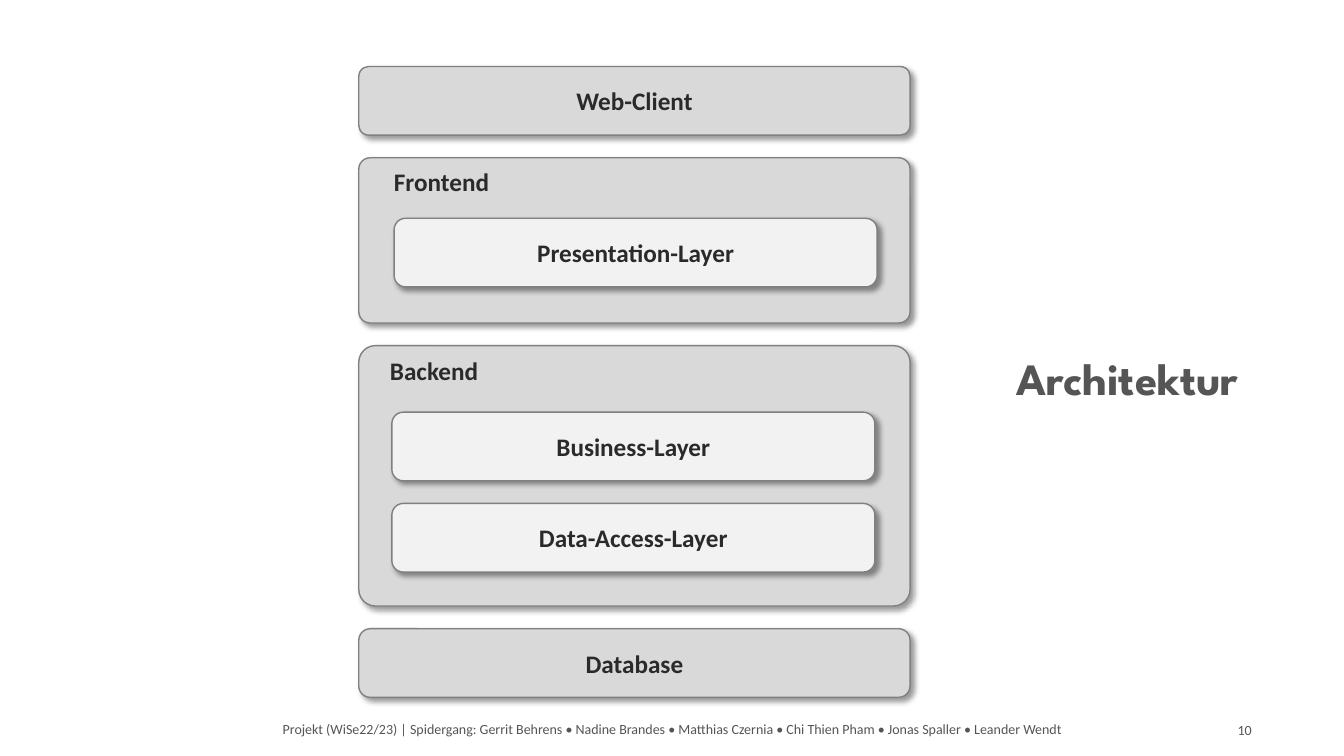
"""Build the slide that shows the software architecture as stacked layers."""
from lxml.etree import SubElement
from pptx import Presentation
from pptx.dml.color import RGBColor as Rgb
from pptx.enum.shapes import MSO_SHAPE as Shape
from pptx.enum.text import MSO_ANCHOR as Anchor, MSO_AUTO_SIZE as Fit, PP_ALIGN as Align
from pptx.oxml.ns import qn
from pptx.util import Pt

TITLE = "Architektur"
TEAM = ("Gerrit Behrens", "Nadine Brandes", "Matthias Czernia",
        "Chi Thien Pham", "Jonas Spaller", "Leander Wendt")
FOOTER = "Projekt (WiSe22/23) | Spidergang: " + " • ".join(TEAM)
PAGE = "10"
STACK = [
    {"name": "Web-Client", "round": 0.144},
    {"name": "Frontend", "round": 0.068, "inset": 25.2, "head": 43.2,
     "foot": 25.8, "indent": 22.8, "parts": ["Presentation-Layer"]},
    {"name": "Backend", "round": 0.064, "inset": 23.6, "head": 47.5,
     "foot": 24.3, "indent": 18.8, "parts": ["Business-Layer", "Data-Access-Layer"]},
    {"name": "Database", "round": 0.167},
]
THEME = {
    "font": "Calibri", "display": "League Spartan",
    "outer": "D9D9D9", "inner": "F2F2F2", "edge": "808080",
    "ink": "2A2A2A", "muted": "555555", "shade": "000000",
    "label": 18, "title": 32, "small": 10,
}
WIDE, HIGH = 960, 540
LEFT, TOP, WIDTH = 256.3, 47.5, 393.8
BAR, GAP, INNER = 49, 16.2, 345


def write(shape, text, size, color, font=THEME["font"], bold=False,
          align=Align.CENTER, anchor=Anchor.MIDDLE):
    """Put one styled line of text into a shape."""
    frame = shape.text_frame
    frame.text = text
    frame.word_wrap = True
    frame.vertical_anchor = anchor
    line = frame.paragraphs[0]
    line.alignment = align
    face = line.runs[0].font
    face.name, face.size, face.bold = font, Pt(size), bold
    face.color.rgb = Rgb.from_string(THEME[color])
    return frame


def shade(shape):
    """Give a shape a soft shadow to the lower right."""
    shape.shadow.inherit = False
    effects = shape._element.spPr.find(qn("a:effectLst"))
    outer = SubElement(effects, qn("a:outerShdw"), blurRad=str(Pt(4)),
                       dist=str(Pt(3)), dir="2700000", algn="tl", rotWithShape="0")
    color = SubElement(outer, qn("a:srgbClr"), val=THEME["shade"])
    SubElement(color, qn("a:alpha"), val="40000")


def block(slide, text, box, fill, curve=0.167, indent=None):
    """Draw a rounded block, with its label on top left if indented."""
    shape = slide.shapes.add_shape(Shape.ROUNDED_RECTANGLE, *map(Pt, box))
    shape.adjustments[0] = curve
    shape.fill.solid()
    shape.fill.fore_color.rgb = Rgb.from_string(THEME[fill])
    shape.line.color.rgb = Rgb.from_string(THEME["edge"])
    shape.line.width = Pt(1)
    shade(shape)
    if indent is None:
        write(shape, text, THEME["label"], "ink", bold=True)
    else:
        frame = write(shape, text, THEME["label"], "ink", bold=True,
                      align=Align.LEFT, anchor=Anchor.TOP)
        frame.margin_left = Pt(indent)


def stack(slide):
    """Lay out the tiers from top to bottom with their inner layers."""
    top = TOP
    for tier in STACK:
        parts = tier.get("parts", [])
        high = BAR
        if parts:
            high = tier["head"] + len(parts) * (BAR + GAP) - GAP + tier["foot"]
        block(slide, tier["name"], (LEFT, top, WIDTH, high), "outer",
              tier["round"], tier.get("indent"))
        for row, part in enumerate(parts):
            y = top + tier["head"] + row * (BAR + GAP)
            block(slide, part, (LEFT + tier["inset"], y, INNER, BAR), "inner")
        top += high + GAP


def note(slide, text, box):
    """Add a small centred line at the foot of the slide."""
    shape = slide.shapes.add_textbox(*map(Pt, box))
    write(shape, text, THEME["small"], "muted")


def main():
    """Build and save the slide."""
    deck = Presentation()
    deck.slide_width, deck.slide_height = Pt(WIDE), Pt(HIGH)
    slide = deck.slides.add_slide(deck.slide_layouts[5])
    title = slide.shapes.title
    title.left, title.top, title.width, title.height = map(Pt, (718.6, 247, 185.8, 46))
    frame = write(title, TITLE, THEME["title"], "muted", THEME["display"], True,
                  Align.LEFT, Anchor.TOP)
    frame.auto_size = Fit.SHAPE_TO_FIT_TEXT
    stack(slide)
    note(slide, FOOTER, (0, 502, WIDE, 37.4))
    note(slide, PAGE, (818, 502.5, 142, 37.4))
    deck.save("out.pptx")


if __name__ == "__main__":
    main()
